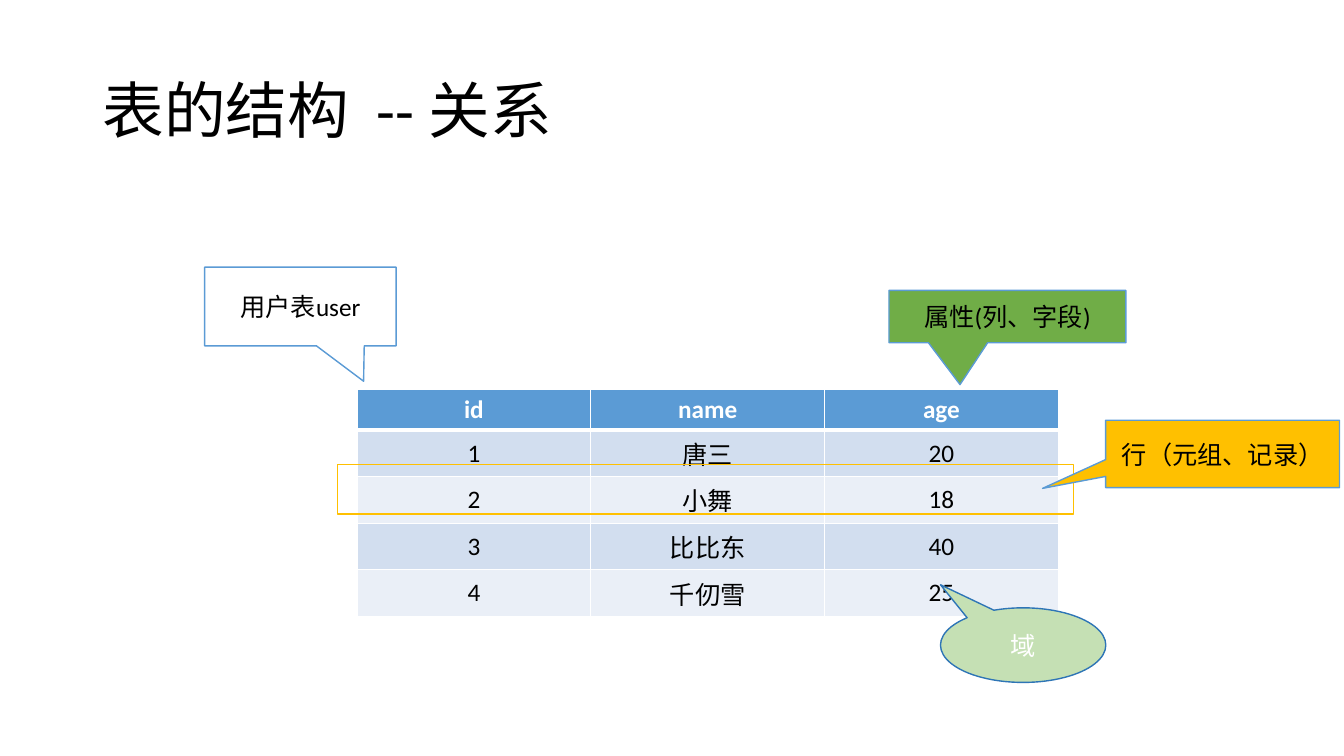
from lxml.etree import SubElement
from pptx import Presentation
from pptx.dml.color import RGBColor
from pptx.enum.shapes import MSO_SHAPE as Shape
from pptx.enum.text import MSO_ANCHOR as Anchor, PP_ALIGN as Align
from pptx.oxml.ns import qn
from pptx.util import Pt

FONT = "Calibri"
BLACK, WHITE = "000000", "FFFFFF"
BLUE, AMBER = "5B9BD5", "FFC000"
BANDS = ["D2DEEF", "EAEFF7"]
USERS = [
    ["id", "name", "age"],
    ["1", "唐三", "20"],
    ["2", "小舞", "18"],
    ["3", "比比东", "40"],
    ["4", "千仞雪", "25"],
]
RECTANGLE, ELLIPSE = Shape.RECTANGULAR_CALLOUT, Shape.OVAL_CALLOUT
CALLOUTS = [
    (RECTANGLE, (146.2, 190.8, 136.8, 56.2), (0.33, 0.95), "用户表user", None, BLUE, BLACK),
    (RECTANGLE, (635, 207.4, 169.2, 37.4), (-0.2, 1.3), "属性(列、字段)", "70AD47", BLUE, BLACK),
    (RECTANGLE, (789.8, 300.2, 167, 48.2), (-0.77, 0.51), "行（元组、记录）", AMBER, BLUE, BLACK),
    (ELLIPSE, (671.8, 434.2, 118.1, 53.3), (-0.5, -0.81), "域", "C5E0B4", "2E75B6", WHITE),
]


def color(value):
    """Turn a hex string into a colour."""
    return RGBColor.from_string(value)


def points(box):
    """Turn a box of numbers into lengths in points."""
    return [Pt(value) for value in box]


def set_font(paragraph, size, value, bold=False):
    """Format all the text of a paragraph."""
    font = paragraph.font
    font.name, font.size, font.bold = FONT, Pt(size), bold
    font.color.rgb = color(value)


def add_title(slide, box, text):
    """Fill and place the title placeholder."""
    title = slide.shapes.title
    title.left, title.top, title.width, title.height = points(box)
    title.text_frame.text = text
    title.text_frame.vertical_anchor = Anchor.MIDDLE
    paragraph = title.text_frame.paragraphs[0]
    paragraph.alignment, paragraph.line_spacing = Align.LEFT, 0.9
    set_font(paragraph, 44, BLACK)


def add_borders(cell, top, bottom):
    """Draw white cell borders with the given top and bottom widths."""
    properties = cell._tc.get_or_add_tcPr()
    for side, width in {"L": 1, "R": 1, "T": top, "B": bottom}.items():
        line = SubElement(properties, qn(f"a:ln{side}"), w=str(Pt(width)))
        fill = SubElement(line, qn("a:solidFill"))
        SubElement(fill, qn("a:srgbClr"), val=WHITE)


def add_user_table(slide, box, rows):
    """Add the banded user table with its header row."""
    table = slide.shapes.add_table(len(rows), len(rows[0]), *points(box)).table
    for row, values in enumerate(rows):
        header = row == 0
        for column, text in enumerate(values):
            cell = table.cell(row, column)
            add_borders(cell, 3 if row == 1 else 1, 3 if header else 1)
            cell.fill.solid()
            cell.fill.fore_color.rgb = color(BLUE if header else BANDS[(row - 1) % 2])
            cell.vertical_anchor = Anchor.MIDDLE
            cell.text = text
            paragraph = cell.text_frame.paragraphs[0]
            paragraph.alignment = Align.CENTER
            set_font(paragraph, 18, WHITE if header else BLACK, header)


def add_outlined_shape(slide, kind, box, fill, line):
    """Add a shape with a thin outline and an optional fill."""
    shape = slide.shapes.add_shape(kind, *points(box))
    shape.shadow.inherit = False
    shape.line.color.rgb = color(line)
    shape.line.width = Pt(1)
    if fill:
        shape.fill.solid()
        shape.fill.fore_color.rgb = color(fill)
    else:
        shape.fill.background()
    return shape


def add_callout(slide, kind, box, tip, text, fill, line, text_color):
    """Add a labelled callout whose tip is given relative to its box."""
    shape = add_outlined_shape(slide, kind, box, fill, line)
    shape.adjustments[0], shape.adjustments[1] = tip
    frame = shape.text_frame
    frame.word_wrap, frame.vertical_anchor = True, Anchor.MIDDLE
    frame.text = text
    paragraph = frame.paragraphs[0]
    paragraph.alignment = Align.CENTER
    set_font(paragraph, 18, text_color)


def main():
    """Build the slide and save it."""
    presentation = Presentation()
    presentation.slide_width, presentation.slide_height = Pt(960), Pt(540)
    slide = presentation.slides.add_slide(presentation.slide_layouts[5])
    add_title(slide, (66, 28.8, 828, 104.4), "表的结构  -- 关系")
    add_user_table(slide, (255, 278, 501, 144), USERS)
    add_outlined_shape(slide, Shape.RECTANGLE, (241.2, 331.9, 525.6, 35.3), None, AMBER)
    for callout in CALLOUTS:
        add_callout(slide, *callout)
    presentation.save("out.pptx")


if __name__ == "__main__":
    main()
